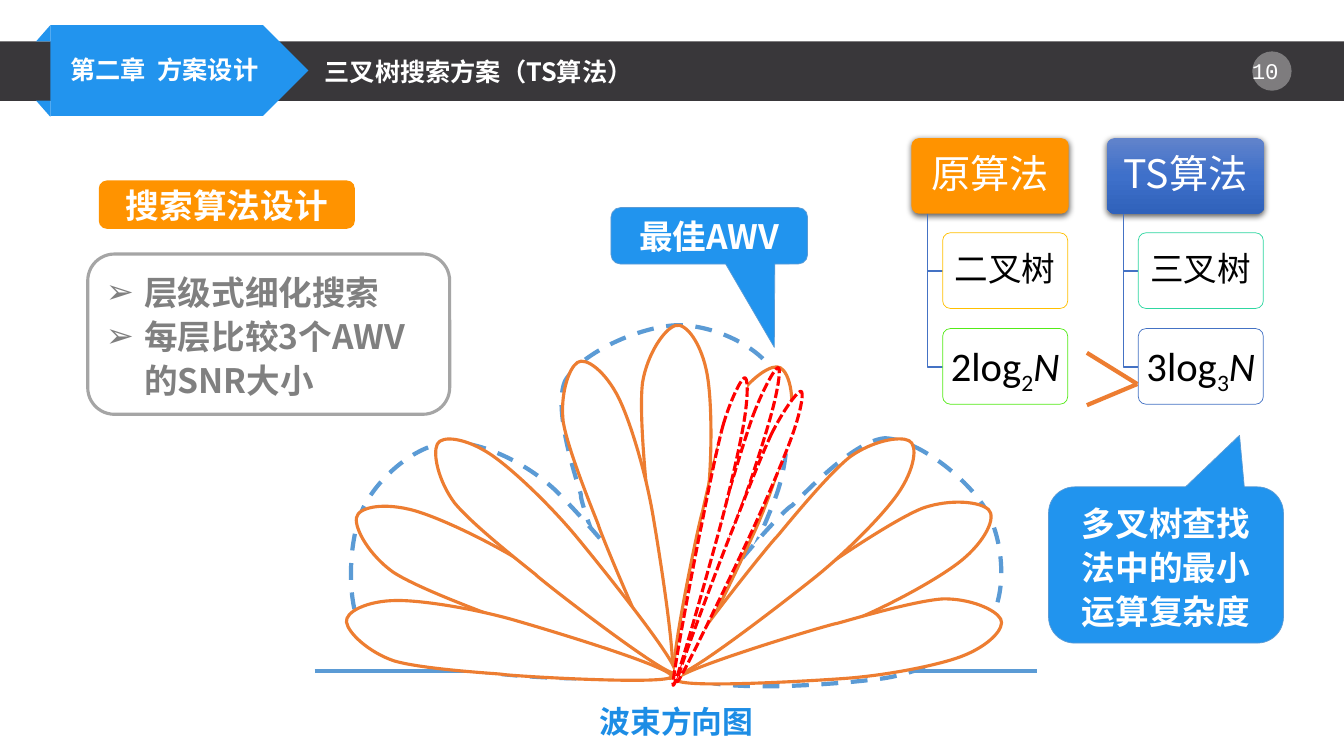
from pptx import Presentation
from pptx import util as u
from pptx.dml.color import RGBColor
from pptx.enum import dml, shapes, text
from pptx.oxml import parse_xml
from pptx.oxml.ns import nsdecls, qn

FONT = "Noto Sans CJK SC"
BLUE, ORANGE, DARK, WHITE = "2294EE", "FF9300", "39373A", "FFFFFF"
PALE_BLUE, LOBE, RED, TREE = "5B9BD5", "ED7D31", "FF0000", "4472C4"
LEFT, CENTER = text.PP_ALIGN.LEFT, text.PP_ALIGN.CENTER
TOP, MIDDLE = text.MSO_ANCHOR.TOP, text.MSO_ANCHOR.MIDDLE
DASH, SYS_DASH = dml.MSO_LINE.DASH, dml.MSO_LINE.SQUARE_DOT
KIND = shapes.MSO_SHAPE

LOBE_POINTS = [
    (0.02, 0.16),
    (0.09, 0.08), (0.33, 0.01), (0.49, 0),
    (0.64, -0.01), (0.87, 0.05), (0.95, 0.14),
    (1.02, 0.22), (1.02, 0.38), (0.95, 0.5),
    (0.88, 0.62), (0.63, 1), (0.49, 1),
    (0.35, 1), (0.08, 0.51), (0.09, 0.49),
    (0.09, 0.48), (-0.04, 0.25), (0.02, 0.16),
]


def color(value):
    return RGBColor.from_string(value)


def inches(values):
    return [u.Inches(v) for v in values]


def paint(sp, fill=None, line=None, width=1.0, dash=None):
    sp.shadow.inherit = False
    if fill:
        sp.fill.solid()
        sp.fill.fore_color.rgb = color(fill)
    else:
        sp.fill.background()
    if line:
        sp.line.color.rgb = color(line)
        sp.line.width = u.Pt(width)
        if dash:
            sp.line.dash_style = dash
    else:
        sp.line.fill.background()
    return sp


def shape(s, kind, box, adj=(), **look):
    sp = s.shapes.add_shape(kind, *inches(box))
    for i, value in enumerate(adj):
        sp.adjustments[i] = value
    return paint(sp, **look)


def write(sp, lines, size, ink=WHITE, bold=True, font=FONT, align=CENTER,
          anchor=MIDDLE, spacing=1.0, wrap=True):
    tf = sp.text_frame
    tf.text = "\n".join(lines)
    tf.word_wrap, tf.vertical_anchor = wrap, anchor
    tf.auto_size = text.MSO_AUTO_SIZE.NONE
    for p in tf.paragraphs:
        p.alignment, p.line_spacing, p.space_before = align, spacing, u.Pt(0)
        for r in p.runs:
            style(r, size, ink, bold, font)
    return sp


def style(r, size, ink, bold, font):
    r.font.size, r.font.bold, r.font.name = u.Pt(size), bold, font
    r.font.color.rgb = color(ink)
    r.font._element.append(parse_xml(f'<a:ea {nsdecls("a")} typeface="{font}"/>'))


def textbox(s, box, lines, size, **kw):
    return write(s.shapes.add_textbox(*inches(box)), lines, size, **kw)


def placeholder(s, index, box):
    sp = s.placeholders[index]
    sp.left, sp.top, sp.width, sp.height = inches(box)
    s.shapes._spTree.append(sp._element)
    return sp


def line(s, start, end, ink, width):
    c = s.shapes.add_connector(shapes.MSO_CONNECTOR.STRAIGHT, *inches(start + end))
    c.line.color.rgb, c.line.width = color(ink), u.Pt(width)
    c._element.spPr.append(parse_xml(f'<a:effectLst {nsdecls("a")}/>'))


def outline(s, points, closed, **look):
    points = [inches(pt) for pt in points]
    fb = s.shapes.build_freeform(*points[0])
    fb.add_line_segments(points[1:], close=closed)
    return paint(fb.convert_to_shape(), **look)


def lobe(s, box, angle, **look):
    x, y, w, h = box
    sp = outline(s, [(x + px * w, y + py * h) for px, py in LOBE_POINTS], True,
                 fill=WHITE, **look)
    sp.rotation = angle
    segments = sp._element.spPr.findall(".//" + qn("a:lnTo"))
    for i in range(0, len(segments), 3):
        curve = parse_xml(f'<a:cubicBezTo {nsdecls("a")}/>')
        segments[i].addprevious(curve)
        for segment in segments[i:i + 3]:
            curve.append(segment[0])
            segment.getparent().remove(segment)


def header(s, box):
    x, y, w, h = box
    shape(s, KIND.RECTANGLE, box, fill=DARK)
    badge = shape(s, KIND.OVAL, (x + w - 0.91, y + 0.1, 0.39, 0.39), fill=WHITE)
    badge._element.spPr.find(".//" + qn("a:srgbClr")).append(
        parse_xml(f'<a:alpha {nsdecls("a")} val="35000"/>'))
    textbox(s, (x + w - 1.07, y + 0.11, 0.71, 0.37), ["10 "], 16,
            bold=False, font="Courier New", anchor=TOP)
    shape(s, KIND.PENTAGON, (x + 0.5, y - 0.16, 2.56, 0.9), fill=BLUE)
    for top, flips in ((y - 0.16, ["flipH"]), (y + h, ["flipH", "flipV"])):
        fold = shape(s, KIND.RIGHT_TRIANGLE, (x + 0.36, top, 0.14, 0.16), fill=BLUE)
        for flip in flips:
            fold._element.spPr.xfrm.set(flip, "1")
    textbox(s, (x + 0.6, y + 0.08, 2.4, 0.4), ["第二章  方案设计"], 18, align=LEFT)
    write(placeholder(s, 0, (x + 3.12, y + 0.1, 5.61, 0.4)),
          ["三叉树搜索方案（TS算法）"], 18, align=LEFT, anchor=TOP)


def design(s, box):
    x, y, w, h = box
    tag = shape(s, KIND.ROUNDED_RECTANGLE, (x + 0.11, y, 2.54, 0.48), fill=ORANGE)
    write(tag, ["搜索算法设计"], 24)
    shape(s, KIND.ROUNDED_RECTANGLE, (x, y + 0.73, w, h - 0.73),
          fill=WHITE, line="A5A5A5", width=2.25)
    body = placeholder(s, 1, (x + 0.08, y + 0.81, w - 0.16, h - 0.89))
    write(body, ["层级式细化搜索", "每层比较3个AWV的SNR大小"], 24, ink="808080",
          align=LEFT, spacing=1.1)
    for p in body.text_frame.paragraphs:
        pPr = p._p.get_or_add_pPr()
        pPr.set("marL", str(u.Inches(0.38)))
        pPr.set("indent", str(u.Inches(-0.38)))
        pPr.append(parse_xml(f'<a:buFont {nsdecls("a")} typeface="Arial"/>'))
        pPr.append(parse_xml(f'<a:buChar {nsdecls("a")} char="➢"/>'))


def beams(s, box):
    x, y, w, h = box
    line(s, (x, y + 3.43), (x + w, y + 3.43), PALE_BLUE, 3)
    wide, tall, side = (2.24, 3.43), (0.69, 3.51), (0.64, 3.27)
    fine, edge = (0.18, 3.23), (0.21, 3.13)
    groups = [
        (dict(line=PALE_BLUE, width=3, dash=DASH),
         [(2.44, 0, wide, 0), (0.89, 0.91, wide, 294.8), (4.04, 0.89, wide, 61.9)]),
        (dict(line=LOBE, width=2.25),
         [(3.24, 0, tall, 0), (2.75, 0.3, side, 343.6), (3.77, 0.33, side, 18),
          (1.64, 0.93, tall, 295.9), (1.6, 1.59, side, 279.5),
          (2.07, 0.68, side, 313.9), (4.82, 0.92, tall, 61.4),
          (4.44, 0.67, side, 44.9), (4.9, 1.59, side, 79.4)]),
        (dict(line=RED, width=2.25, dash=SYS_DASH),
         [(4.01, 0.34, fine, 18), (3.81, 0.48, edge, 13), (4.11, 0.53, edge, 23)]),
    ]
    for look, lobes in groups:
        for dx, dy, size, angle in lobes:
            lobe(s, (x + dx, y + dy, *size), angle, **look)
    callout(s, (x + 2.94, y - 1.17, 1.95, 0.56), (0.331, 1.978, 0.167), ["最佳AWV"])
    textbox(s, (x + 2.64, y + h - 0.47, 1.9, 0.47), ["波束方向图"], 22, ink="1D8DE5")


def callout(s, box, adj, lines, spacing=1.0):
    sp = shape(s, KIND.ROUNDED_RECTANGULAR_CALLOUT, box, adj,
               fill="2194EE", line=PALE_BLUE, width=0.5)
    write(sp, lines, 24, spacing=spacing)


def raise_card(sp):
    sp._element.spPr.find(qn("a:effectLst")).append(parse_xml(
        f'<a:outerShdw {nsdecls("a")} blurRad="57150" dist="19050" dir="5400000" '
        'algn="ctr" rotWithShape="0"><a:srgbClr val="000000">'
        '<a:alpha val="63000"/></a:srgbClr></a:outerShdw>'))


def shade(sp, stops):
    sp.fill.gradient()
    sp.fill.gradient_angle = 270
    stop_list = sp._element.spPr.find(".//" + qn("a:gsLst"))
    for gs in list(stop_list):
        stop_list.remove(gs)
    for pos, value in stops:
        stop_list.append(parse_xml(f'<a:gs {nsdecls("a")} pos="{pos * 1000}">'
                                   f'<a:srgbClr val="{value}"/></a:gs>'))


def algorithm(s, box, name, tree, base, borders, stops=None):
    x, y, w, h = box
    head = shape(s, KIND.ROUNDED_RECTANGLE, (x, y, w, h), [0.1], fill=ORANGE)
    if stops:
        shade(head, stops)
    raise_card(head)
    write(head, [name], 28, bold=False, spacing=0.9, wrap=False)
    cards = []
    for i, border in enumerate(borders):
        top = y + 0.94 + 0.95 * i
        spine, middle = x + 0.16, top + 0.38
        outline(s, [(spine, y + h), (spine, middle), (x + 0.31, middle)], False,
                line=TREE, width=1)
        cards.append(shape(s, KIND.ROUNDED_RECTANGLE, (x + 0.31, top, w - 0.32, h),
                           [0.1], fill=WHITE, line=border, width=0.5))
    plain = dict(ink="000000", bold=False, spacing=0.9, wrap=False)
    write(cards[0], [tree], 24, **plain)
    write(cards[1], [base + "log"], 29, font="Calibri", **plain)
    p = cards[1].text_frame.paragraphs[0]
    for part in (base, "N"):
        r = p.add_run()
        r.text = part
        style(r, 29, "000000", False, "Calibri")
    p.runs[1].font._element.set("baseline", "-25000")
    p.runs[2].font.italic = True


def comparison(s, box):
    x, y, w, h = box
    algorithm(s, (x, y, 1.56, 0.75), "原算法", "二叉树", "2", ["FFC000", "53EB17"])
    algorithm(s, (x + 1.94, y, 1.56, 0.75), "TS算法", "三叉树", "3", ["2ED7A1", TREE],
              [(0, "6183CB"), (50, "3E70CA"), (100, "3062BB")])
    tip = (x + 2.24, y + 2.44)
    for end_y in (y + 2.13, y + 2.65):
        line(s, (x + 1.74, end_y), tip, LOBE, 3)
    callout(s, (x + 1.36, y + h - 1.55, 2.33, 1.55), (0.313, -0.83, 0.167),
            ["多叉树查找法中的最小", "运算复杂度"], 1.1)


prs = Presentation()
prs.slide_width, prs.slide_height = inches((13.33, 7.5))
s = prs.slides.add_slide(prs.slide_layouts[1])
header(s, (0, 0.41, 13.33, 0.59))
design(s, (0.87, 1.79, 3.59, 2.32))
beams(s, (3.12, 3.23, 7.17, 4.16))
comparison(s, (9.04, 1.37, 3.69, 5.01))
prs.save("out.pptx")
